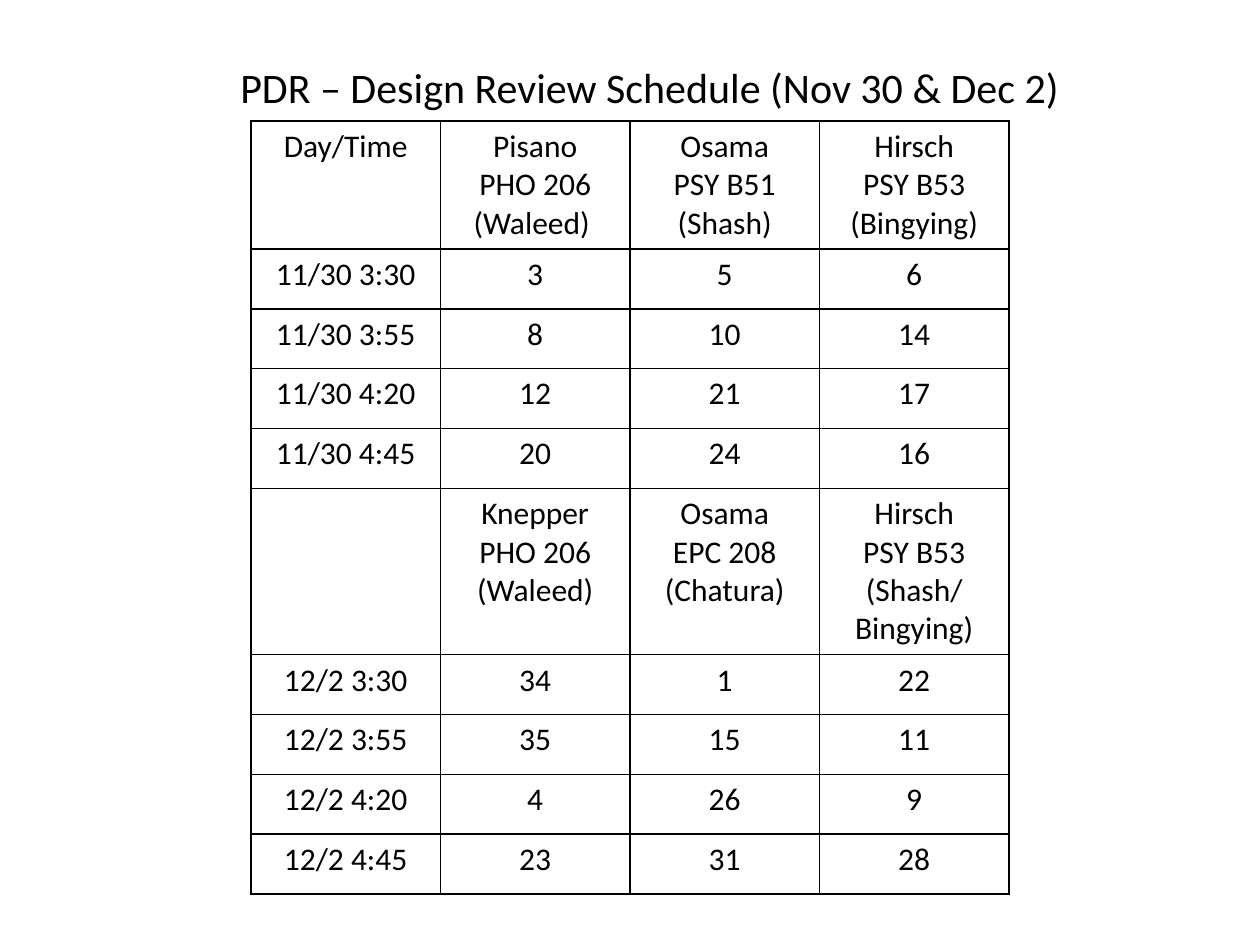
"""Build the design review schedule slide."""
import pptx
import pptx.dml.color
import pptx.enum.text
import pptx.oxml
import pptx.oxml.ns
import pptx.util

Pt = pptx.util.Pt

TITLE = "PDR – Design Review Schedule (Nov 30 & Dec 2)"
ROWS = [
    ("Day/Time", "Pisano\nPHO 206\n(Waleed) ", "Osama\nPSY B51\n(Shash)", "Hirsch\nPSY B53\n(Bingying)"),
    ("11/30 3:30", "3", "5", "6"),
    ("11/30 3:55", "8", "10", "14"),
    ("11/30 4:20", "12", "21", "17"),
    ("11/30 4:45", "20", "24", "16"),
    ("", "Knepper\nPHO 206\n(Waleed)", "Osama\nEPC 208\n(Chatura)", "Hirsch\nPSY B53\n(Shash/\nBingying)"),
    ("12/2 3:30", "34", "1", "22"),
    ("12/2 3:55", "35", "15", "11"),
    ("12/2 4:20", "4", "26", "9"),
    ("12/2 4:45", "23", "31", "28"),
]
COLORS = {"ink": "000000", "paper": "FFFFFF"}
FONT = "Calibri"
TABLE_LEFT, TABLE_TOP = 143.4, 69.2
COLUMN_WIDTH = 108.3
SLOT_HEIGHT = 34.2
LINE_HEIGHT, CELL_PADDING = 21.97, 7.2


def write(frame, text, size=18, color=COLORS["ink"], font=FONT):
    """Fill a text frame with one centred paragraph per line."""
    frame.text = text
    frame.word_wrap = True
    for para in frame.paragraphs:
        para.alignment = pptx.enum.text.PP_ALIGN.CENTER
        para.font.size = Pt(size)
        for span in para.runs:
            span.font.size = Pt(size)
            span.font.name = font
            span.font.color.rgb = pptx.dml.color.RGBColor.from_string(color)


def add_borders(cell, color=COLORS["ink"], width=1):
    """Draw a solid line on all four sides of a cell."""
    properties = cell._tc.get_or_add_tcPr()
    for index, side in enumerate(("lnL", "lnR", "lnT", "lnB")):
        line = pptx.oxml.parse_xml(
            f'<a:{side} {pptx.oxml.ns.nsdecls("a")} w="{Pt(width)}">'
            f'<a:solidFill><a:srgbClr val="{color}"/></a:solidFill></a:{side}>'
        )
        properties.insert(index, line)


def row_height(row):
    """Return the height that the tallest cell of a row needs."""
    lines = max(text.count("\n") + 1 for text in row)
    return max(SLOT_HEIGHT, lines * LINE_HEIGHT + CELL_PADDING)


def add_title(page):
    """Place the title above the schedule."""
    title = page.shapes.title
    title.left, title.top, title.width, title.height = Pt(113.8), Pt(31.7), Pt(514.8), Pt(36.3)
    write(title.text_frame, TITLE, size=24)
    title.text_frame.vertical_anchor = pptx.enum.text.MSO_ANCHOR.TOP
    title.text_frame.auto_size = pptx.enum.text.MSO_AUTO_SIZE.SHAPE_TO_FIT_TEXT


def add_schedule(page):
    """Place the schedule table."""
    heights = [row_height(row) for row in ROWS]
    columns = len(ROWS[0])
    table = page.shapes.add_table(
        len(ROWS), columns, Pt(TABLE_LEFT), Pt(TABLE_TOP),
        Pt(COLUMN_WIDTH * columns), Pt(sum(heights)),
    ).table
    table.first_row = table.horz_banding = False
    for column in table.columns:
        column.width = Pt(COLUMN_WIDTH)
    for table_row, height, texts in zip(table.rows, heights, ROWS):
        table_row.height = Pt(height)
        for cell, text in zip(table_row.cells, texts):
            cell.fill.solid()
            cell.fill.fore_color.rgb = pptx.dml.color.RGBColor.from_string(COLORS["paper"])
            write(cell.text_frame, text)
            add_borders(cell)


def main():
    """Create and save the deck."""
    deck = pptx.Presentation()
    deck.slide_width, deck.slide_height = Pt(720), Pt(540)
    page = deck.slides.add_slide(deck.slide_layouts[5])
    add_schedule(page)
    add_title(page)
    deck.save("out.pptx")


if __name__ == "__main__":
    main()
